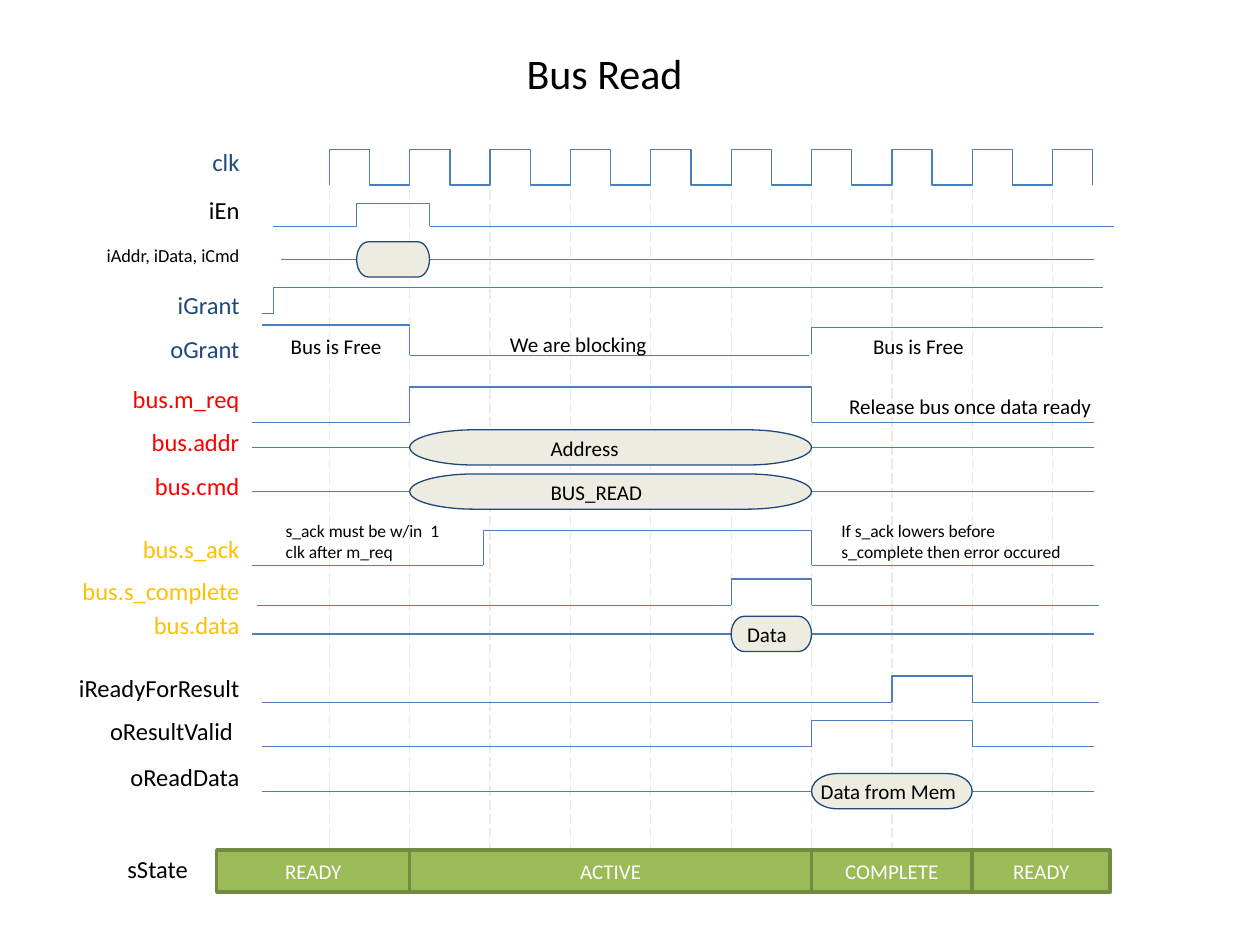
from dataclasses import dataclass
from typing import NamedTuple

from lxml.etree import SubElement
from pptx import Presentation
from pptx.dml.color import RGBColor as RGB
from pptx.enum.dml import MSO_LINE
from pptx.enum.shapes import MSO_CONNECTOR, MSO_SHAPE as SHAPE
from pptx.enum.text import MSO_ANCHOR as ANCHOR, PP_ALIGN as ALIGN
from pptx.oxml.ns import qn
from pptx.util import Cm, Pt


@dataclass(frozen=True)
class Theme:
    font: str = "Calibri"
    black: str = "000000"
    white: str = "FFFFFF"
    navy: str = "1F497D"
    red: str = "FF0000"
    amber: str = "FFC000"
    wave: str = "4B7EBC"
    sand: str = "EEECE1"
    green: str = "9BBB59"
    olive: str = "738A42"
    title: float = 24
    label: float = 14
    body: float = 12
    small: float = 10.5
    note: float = 10
    thin: float = 0.75
    thick: float = 2


T = Theme()


class Label(NamedTuple):
    text: str
    top: float
    width: float
    color: str = T.black
    size: float = T.label
    right: float = 5.08


class Note(NamedTuple):
    text: str
    left: float
    top: float
    width: float
    size: float = T.body
    align: ALIGN = ALIGN.LEFT


class Pulse(NamedTuple):
    start: float
    rise: float
    fall: float
    end: float
    top: float
    base: float


class Bus(NamedTuple):
    start: float
    y: float
    left: float
    right: float


class State(NamedTuple):
    text: str
    left: float
    right: float


PERIOD, FIRST_EDGE, CYCLES = 1.62, 6.64, 10
BUS_END, BUS_HEIGHT = 22.05, 0.71
CLK_TOP, CLK_BASE = 3.02, 3.73


def edge(n: float) -> float:
    return FIRST_EDGE + n * PERIOD


prs = Presentation()
prs.slide_width, prs.slide_height = Cm(25.4), Cm(19.05)
s = prs.slides.add_slide(prs.slide_layouts[5])


def add_line(x1: float, y1: float, x2: float, y2: float, color: str = T.wave):
    c = s.shapes.add_connector(MSO_CONNECTOR.STRAIGHT, Cm(x1), Cm(y1), Cm(x2), Cm(y2))
    c.line.color.rgb = RGB.from_string(color)
    c.line.width = Pt(T.thin)
    SubElement(c._element.spPr, qn("a:effectLst"))
    return c


def add_box(kind: SHAPE, x: float, y: float, w: float, h: float,
            fill: str | None, line: str, weight: float = T.thin):
    sp = s.shapes.add_shape(kind, Cm(x), Cm(y), Cm(w), Cm(h))
    sp.shadow.inherit = False
    if fill:
        sp.fill.solid()
        sp.fill.fore_color.rgb = RGB.from_string(fill)
    else:
        sp.fill.background()
    sp.line.color.rgb = RGB.from_string(line)
    sp.line.width = Pt(weight)
    return sp


def add_bracket(left: float, right: float, top: float, base: float, high: bool = True) -> None:
    """Square bracket turned to open downward (high) or upward."""
    w, h = base - top, right - left
    sp = add_box(SHAPE.LEFT_BRACKET, (left + right - w) / 2, (top + base - h) / 2, w, h, None, T.wave)
    sp.adjustments[0] = 0
    sp.rotation = 90 if high else 270


def write(tf, text: str, size: float, color: str, align: ALIGN) -> None:
    tf.text = text
    p = tf.paragraphs[0]
    p.alignment = align
    p.font.name, p.font.size = T.font, Pt(size)
    p.font.color.rgb = RGB.from_string(color)


def add_text(text: str, x: float, y: float, w: float, size: float, color: str,
             align: ALIGN, wrap: bool) -> None:
    tf = s.shapes.add_textbox(Cm(x), Cm(y), Cm(w), Cm(0.75)).text_frame
    tf.word_wrap = wrap
    write(tf, text, size, color, align)


def add_pulse(d: Pulse) -> None:
    add_line(d.start, d.base, d.rise, d.base)
    add_line(d.fall, d.base, d.end, d.base)
    add_bracket(d.rise, d.fall, d.top, d.base)


def add_bus(d: Bus) -> None:
    add_line(d.start, d.y, BUS_END, d.y)
    add_box(SHAPE.FLOWCHART_TERMINATOR, d.left, d.y - BUS_HEIGHT / 2, d.right - d.left,
            BUS_HEIGHT, T.sand, T.navy)


def add_state(d: State) -> None:
    sp = add_box(SHAPE.FLOWCHART_PROCESS, d.left, 17.14, d.right - d.left, 0.84,
                 T.green, T.olive, T.thick)
    sp.text_frame.vertical_anchor = ANCHOR.MIDDLE
    write(sp.text_frame, d.text, T.body, T.white, ALIGN.CENTER)


# Title
title = s.shapes.title
title.left, title.top, title.width, title.height = Cm(10.36), Cm(0.84), Cm(3.68), Cm(1.27)
title.text_frame.word_wrap = False
title.text_frame.vertical_anchor = ANCHOR.TOP
write(title.text_frame, "Bus Read", T.title, T.black, ALIGN.LEFT)

# Clock edges and clock wave
for n in range(CYCLES):
    add_line(edge(n), 3.25, edge(n), 17.86, T.sand).line.dash_style = MSO_LINE.LONG_DASH
for n in range(2 * CYCLES - 1):
    add_bracket(edge(n / 2), edge((n + 1) / 2), CLK_TOP, CLK_BASE, n % 2 == 0)

# Single-bit signals
for pulse in (
    Pulse(5.51, 7.19, 8.66, 22.45, 4.11, 4.56),
    Pulse(5.08, edge(1), edge(6), 22.05, 7.8, 8.51),
    Pulse(5.08, 9.74, edge(6), 22.05, 10.69, 11.4),
    Pulse(5.18, edge(5), edge(6), 22.15, 11.67, 12.2),
    Pulse(5.28, edge(7), edge(8), 22.15, 13.63, 14.16),
    Pulse(5.28, edge(6), edge(8), 22.05, 14.52, 15.05),
):
    add_pulse(pulse)

# Grant signals
for points in (
    [(5.28, 6.32), (5.51, 6.32), (5.51, 5.79), (22.23, 5.79)],
    [(5.28, 6.55), (edge(1), 6.55)],
    [(edge(1), 6.6), (edge(1), 7.16), (16.31, 7.16)],
    [(edge(6), 7.14), (edge(6), 6.6), (22.23, 6.6)],
):
    for a, b in zip(points, points[1:]):
        add_line(*a, *b)

# Multi-bit signals
for bus in (
    Bus(5.66, 5.23, 7.19, 8.66),
    Bus(5.08, 9.02, edge(1), edge(6)),
    Bus(5.08, 9.91, edge(1), edge(6)),
    Bus(5.08, 12.78, edge(5), edge(6)),
    Bus(5.28, 15.95, edge(6), edge(8)),
):
    add_bus(bus)

# State bar
for state in (
    State("READY", 4.37, edge(1)),
    State("ACTIVE", edge(1), edge(6)),
    State("COMPLETE", edge(6), edge(8)),
    State("READY", edge(8), 22.38),
):
    add_state(state)

# Signal names
for d in (
    Label("clk", 2.84, 1.55, T.navy),
    Label("iEn", 3.81, 1.65),
    Label("iAddr, iData, iCmd", 4.8, 4.24, size=T.small),
    Label("iGrant", 5.72, 1.78, T.navy),
    Label("oGrant", 6.6, 1.93, T.navy),
    Label("bus.m_req", 7.62, 2.69, T.red),
    Label("bus.addr", 8.48, 2.29, T.red),
    Label("bus.cmd", 9.37, 2.24, T.red),
    Label("bus.s_ack", 10.64, 2.49, T.amber),
    Label("bus.s_complete", 11.48, 3.71, T.amber),
    Label("bus.data", 12.17, 2.26, T.amber),
    Label("iReadyForResult", 13.44, 3.78),
    Label("oResultValid", 14.3, 3.02, right=4.95),
    Label("oReadData", 15.24, 2.74),
    Label("sState", 17.09, 1.75, right=4.04),
):
    add_text(d.text, d.right - d.width, d.top, d.width, d.size, d.color, ALIGN.RIGHT, False)

# Notes on the waves
for d in (
    Note("Bus is Free", 5.61, 6.6, 3.3),
    Note("We are blocking", 10.03, 6.55, 4.22),
    Note("Bus is Free", 17.35, 6.6, 3.3),
    Note("Release bus once data ready", 16.87, 7.8, 5.59),
    Note("Address", 10.85, 8.66, 1.96),
    Note("BUS_READ", 10.85, 9.55, 2.49),
    Note("s_ack must be w/in  1 clk after m_req", 5.51, 10.36, 3.61, T.note),
    Note("If s_ack lowers before s_complete then error occured", 16.71, 10.36, 5.08, T.note),
    Note("Data", 14.81, 12.4, 1.4),
    Note("Data from Mem", 16.21, 15.57, 3.4, align=ALIGN.CENTER),
):
    add_text(d.text, d.left, d.top, d.width, d.size, T.black, d.align, True)

prs.save("out.pptx")
